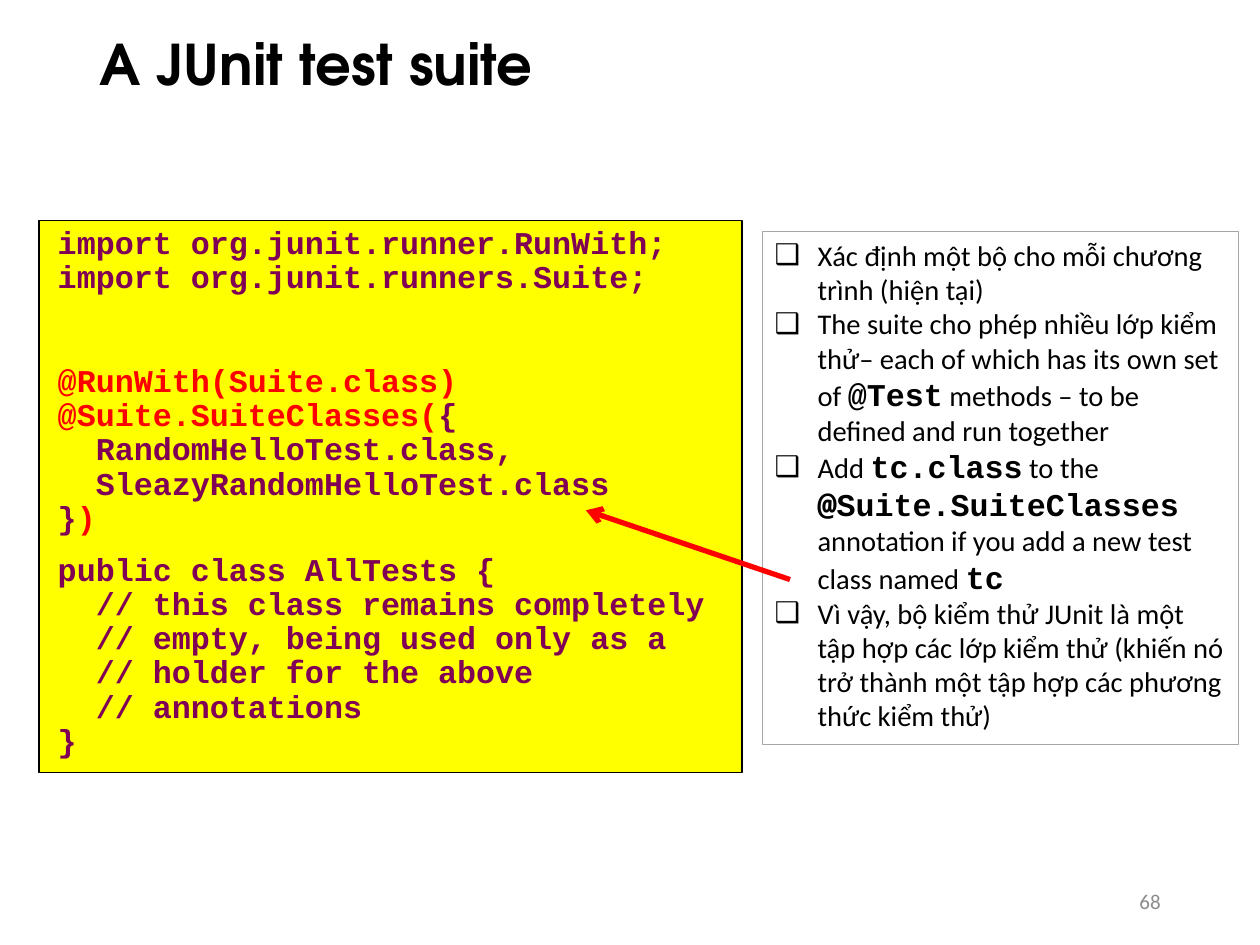
from lxml.etree import SubElement as Sub
from pptx import Presentation
from pptx.dml.color import RGBColor as RGB
from pptx.enum.shapes import MSO_CONNECTOR as Link, MSO_SHAPE as Form
from pptx.enum.text import MSO_ANCHOR as Anchor, PP_ALIGN as Align
from pptx.oxml.ns import qn
from pptx.util import Inches, Pt

WIDE, HIGH = Inches(10), Inches(7.5)
HUES = {"ink": "000000", "code": "7F0055", "mark": "FF0000",
        "paper": "FFFF00", "edge": "A6A6A6", "page": "8C8C8C"}

BODY = {"name": "Calibri", "size": Pt(16.3), "bold": False}
MONO = {"name": "Courier New", "size": Pt(18.1), "bold": True}
SIGN = {**MONO, "name": "Noto Sans Mono"}
HEAD = {"name": "TeX Gyre Adventor", "size": Pt(32), "bold": True}
PAGE = {"name": "Calibri", "size": Pt(12)}

# Each paragraph is a list of (text, hue) runs, after its space before.
CODE = [
    (0, [("import org.junit.runner.RunWith;\nimport org.junit.runners.Suite;", "code")]),
    (40, [("@RunWith(Suite.class)\n@Suite.SuiteClasses(", "mark"),
          ("{\n  RandomHelloTest.class,\n  SleazyRandomHelloTest.class\n}", "code"),
          (")", "mark")]),
    (10, [("public class AllTests {\n  // this class remains completely\n"
           "  // empty, being used only as a\n  // holder for the above\n"
           "  // annotations\n}", "code")]),
]
NOTES = [
    [("Xác định một bộ cho mỗi chương trình (hiện tại)", BODY)],
    [("The suite cho phép nhiều lớp kiểm thử– each of which has its own set of ", BODY),
     ("@Test", MONO), (" methods – to be defined and run together", BODY)],
    [("Add ", BODY), ("tc.class", MONO), (" to the ", BODY), ("@", SIGN),
     ("Suite.SuiteClasses ", MONO),
     ("annotation if you add a new test class named ", BODY), ("tc", MONO)],
    [("Vì vậy, bộ kiểm thử JUnit là một tập hợp các lớp kiểm thử (khiến nó "
      "trở thành một tập hợp các phương thức kiểm thử)", BODY)],
]


def share(*parts):
    """Turn percentages of slide width and height, by turns, into lengths."""
    return [round(part * (HIGH if i % 2 else WIDE) / 100)
            for i, part in enumerate(parts)]


def tint(hue):
    return RGB.from_string(HUES[hue])


def apply(item, form):
    for key, value in form.items():
        setattr(item, key, value)


def write(para, text, form, hue="ink"):
    for i, line in enumerate(text.split("\n")):
        if i:
            para.add_line_break()
        run = para.add_run()
        run.text = line
        apply(run.font, form)
        run.font.color.rgb = tint(hue)


def add_para(frame, i):
    return frame.add_paragraph() if i else frame.paragraphs[0]


def indent(para, left, first=0, mark=None):
    props = para._p.get_or_add_pPr()
    props.set("marL", str(Inches(left)))
    props.set("indent", str(Inches(first)))
    if mark:
        Sub(props, qn("a:buFont"), typeface="Arial")
        Sub(props, qn("a:buChar"), char=mark)


def add_label(slide, area, text, form, hue, style):
    frame = slide.shapes.add_textbox(*share(*area)).text_frame
    apply(frame, {"word_wrap": True, "vertical_anchor": Anchor.MIDDLE})
    para = frame.paragraphs[0]
    apply(para, style)
    write(para, text, form, hue)


def add_panel(slide, area, edge, fill=None):
    """Add an outlined box and return its text frame."""
    box = slide.shapes.add_shape(Form.RECTANGLE, *share(*area))
    box.shadow.inherit = False
    if fill:
        box.fill.solid()
        box.fill.fore_color.rgb = tint(fill)
    else:
        box.fill.background()
    box.line.color.rgb = tint(edge)
    box.line.width = Pt(0.75)
    frame = box.text_frame
    apply(frame, {"word_wrap": True, "vertical_anchor": Anchor.TOP})
    return frame


def add_code(slide, area):
    frame = add_panel(slide, area, "ink", "paper")
    for i, (gap, runs) in enumerate(CODE):
        para = add_para(frame, i)
        indent(para, 0.05)
        apply(para, {"alignment": Align.LEFT, "line_spacing": 0.9,
                     "space_before": Pt(gap)})
        for text, hue in runs:
            write(para, text, MONO, hue)


def add_notes(slide, area):
    frame = add_panel(slide, area, "edge")
    for i, runs in enumerate(NOTES):
        para = add_para(frame, i)
        indent(para, 0.34, -0.34, "❑")
        para.alignment = Align.LEFT
        for text, form in runs:
            write(para, text, form)


def add_arrow(slide, ends):
    line = slide.shapes.add_connector(Link.STRAIGHT, *share(*ends))
    line.line.color.rgb = tint("mark")
    line.line.width = Pt(3)
    Sub(line.line._get_or_add_ln(), qn("a:tailEnd"), type="arrow")
    Sub(line._element.spPr, qn("a:effectLst"))


def main():
    deck = Presentation()
    deck.slide_width, deck.slide_height = WIDE, HIGH
    slide = deck.slides.add_slide(deck.slide_layouts[6])
    add_label(slide, (6.9, 1.73, 86.2, 10.8), "A JUnit test suite", HEAD, "ink",
              {"line_spacing": 0.9})
    add_code(slide, (3.1, 23.33, 55.8, 58.4))
    add_label(slide, (70.6, 92.67, 22.5, 5.33), "68", PAGE, "page",
              {"alignment": Align.RIGHT})
    add_notes(slide, (60.5, 24.53, 37.8, 54.27))
    add_arrow(slide, (62.7, 61.33, 46.5, 54))
    deck.save("out.pptx")


if __name__ == "__main__":
    main()
